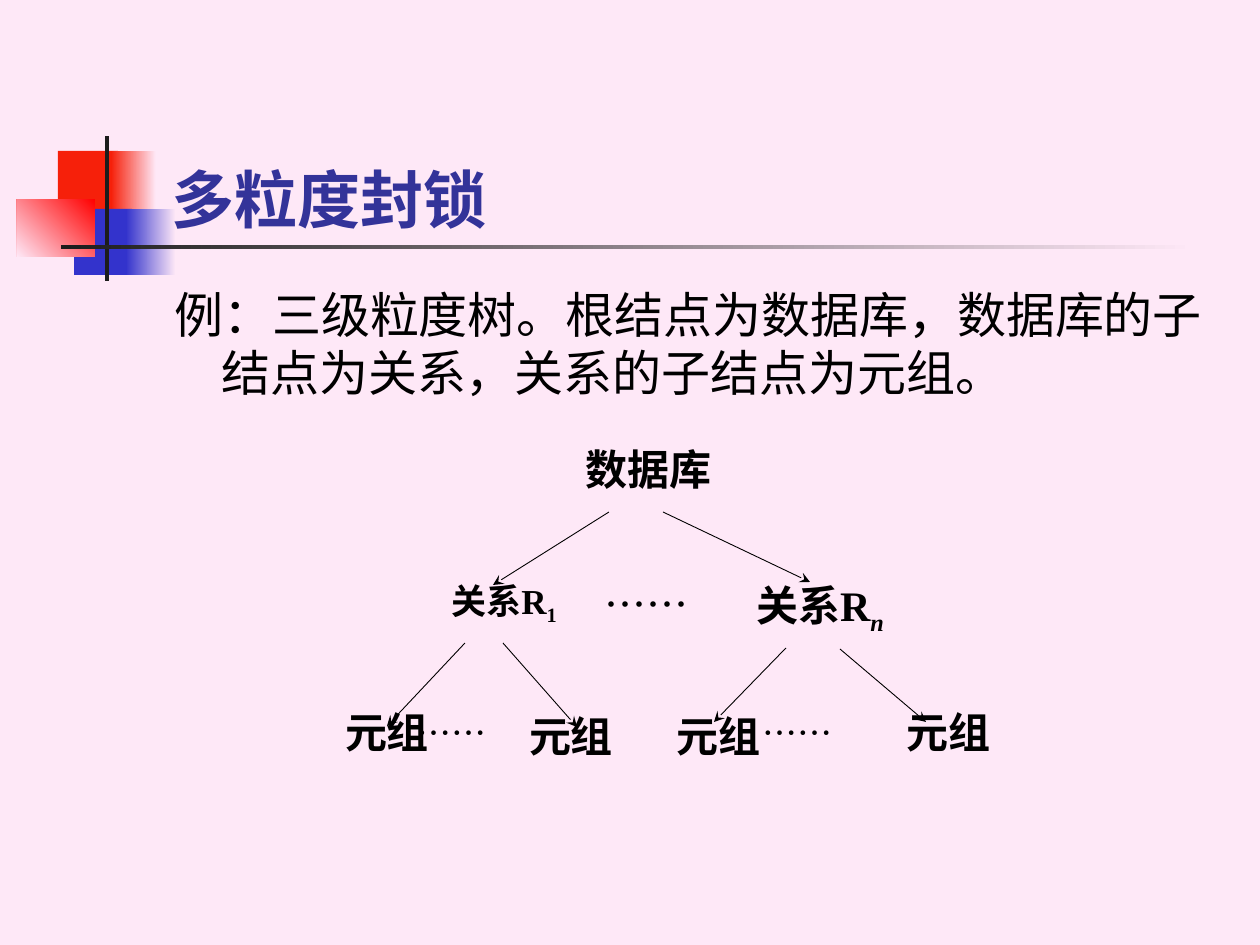
from dataclasses import dataclass

from lxml import etree
from pptx import Presentation
from pptx.dml.color import RGBColor
from pptx.enum.shapes import MSO_CONNECTOR, MSO_SHAPE
from pptx.enum.text import MSO_ANCHOR, PP_ALIGN
from pptx.oxml.ns import qn
from pptx.util import Emu, Pt

RECT = MSO_SHAPE.RECTANGLE
LINE = MSO_CONNECTOR.STRAIGHT
TOP, BOTTOM = MSO_ANCHOR.TOP, MSO_ANCHOR.BOTTOM
LEFT, MID, JUST = PP_ALIGN.LEFT, PP_ALIGN.CENTER, PP_ALIGN.JUSTIFY
SCALE = 914400 / 126  # EMU in one px


@dataclass(frozen=True)
class Theme:
    back: str = "FEE8F7"
    red: str = "F6200A"
    hot: str = "FF0000"
    blue: str = "3333CC"
    dark: str = "1C1C1C"
    head: str = "333399"
    ink: str = "000000"
    sans: str = "Cabin"
    serif: str = "Times New Roman"
    asian: str = "Noto Sans CJK SC"
    title: int = 36
    body: int = 28
    node: int = 24
    small: int = 20
    thin: float = 0.5
    tight: float = 0.96


def px(n):
    return Emu(round(n * SCALE))


def rgb(code):
    return RGBColor.from_string(code)


class Deck:
    def __init__(self, theme):
        self.theme = theme
        self.prs = Presentation()
        self.prs.slide_width, self.prs.slide_height = px(1260), px(945)
        self.slide = self.prs.slides.add_slide(self.prs.slide_layouts[6])
        fill = self.slide.background.fill
        fill.solid()
        fill.fore_color.rgb = rgb(theme.back)

    def block(self, box, *colors, angle=180):
        """Rectangle with one flat colour, or a blend of two."""
        shape = self.slide.shapes.add_shape(RECT, *map(px, box))
        shape.shadow.inherit = False
        shape.line.fill.background()
        if len(colors) == 1:
            shape.fill.solid()
            shape.fill.fore_color.rgb = rgb(colors[0])
            return
        shape.fill.gradient()
        shape.fill.gradient_angle = angle
        for stop, color in zip(shape.fill.gradient_stops, colors):
            stop.color.rgb = rgb(color)

    def text(self, box, words, size, font, color=None, bold=False,
             align=LEFT, anchor=TOP, space=None, hang=0, sub=None, slant=False):
        frame = self.slide.shapes.add_textbox(*map(px, box)).text_frame
        frame.word_wrap = True
        frame.vertical_anchor = anchor
        para = frame.paragraphs[0]
        para.alignment = align
        if space:
            para.line_spacing = space
        props = para._p.get_or_add_pPr()
        if hang:
            props.set("marL", str(px(hang)))
            props.set("indent", str(-px(hang)))
        style = para.font
        style.size, style.name, style.bold = Pt(size), font, bold
        style.color.rgb = rgb(color or self.theme.ink)
        asian = etree.SubElement(props.find(qn("a:defRPr")), qn("a:ea"))
        asian.set("typeface", self.theme.asian)
        para.add_run().text = words
        if sub:
            run = para.add_run()
            run.text = sub
            run._r.get_or_add_rPr().set("baseline", "-25000")
            if slant:
                run.font.italic = True

    def node(self, box, words, size, sub=None, slant=False):
        self.text(box, words, size, self.theme.serif, bold=True, align=MID,
                  space=self.theme.tight, sub=sub, slant=slant)

    def dots(self, box, size):
        self.text(box, "……", size, self.theme.asian, align=JUST,
                  space=self.theme.tight)

    def arrow(self, *ends):
        link = self.slide.shapes.add_connector(LINE, *map(px, ends))
        link.line.width = Pt(self.theme.thin)
        link.line.color.rgb = rgb(self.theme.ink)
        tail = etree.SubElement(link.line._get_or_add_ln(), qn("a:tailEnd"))
        tail.set("type", "stealth")
        etree.SubElement(link._element.spPr, qn("a:effectLst"))


def main():
    look = Theme()
    deck = Deck(look)

    # Corner ornament and title rule
    deck.block((58, 151, 60, 66), look.red)
    deck.block((111, 151, 45, 66), look.back, look.red)
    deck.block((74, 209, 58, 66), look.blue)
    deck.block((126, 209, 50, 66), look.back, look.blue)
    deck.block((17, 199, 78, 58), look.hot, look.back, angle=225)
    deck.block((105, 136, 4, 145), look.dark)
    deck.block((61, 245, 1134, 4), look.back, look.dark)

    # Title and example
    deck.text((159, 84, 1074, 158), "多粒度封锁", look.title, look.sans,
              color=look.head, bold=True, anchor=BOTTOM)
    deck.text((162, 278, 1071, 567),
              "例：三级粒度树。根结点为数据库，数据库的子结点为关系，关系的子结点为元组。",
              look.body, look.sans, hang=47)

    # Tree branches
    for ends in (
        (609, 512, 493, 585), (663, 512, 810, 582),
        (465, 643, 387, 726), (503, 643, 577, 727),
        (786, 648, 714, 722), (840, 649, 926, 722),
    ):
        deck.arrow(*ends)

    # Root and relations
    deck.node((558, 441, 181, 81), "数据库", look.node)
    deck.node((728, 573, 184, 72), "关系R", look.node, sub="n", slant=True)
    deck.node((398, 573, 212, 115), "关系R", look.small, sub="1")

    # Tuples
    for left, top, width in ((315, 704, 144), (858, 704, 181),
                             (499, 708, 144), (646, 708, 144)):
        deck.node((left, top, width, 74), "元组", look.node)

    # Dots between siblings
    deck.dots((592, 576, 184, 60), look.node)
    for left in (750, 404):
        deck.dots((left, 708, 184, 60), look.small)

    deck.prs.save("out.pptx")


if __name__ == "__main__":
    main()
